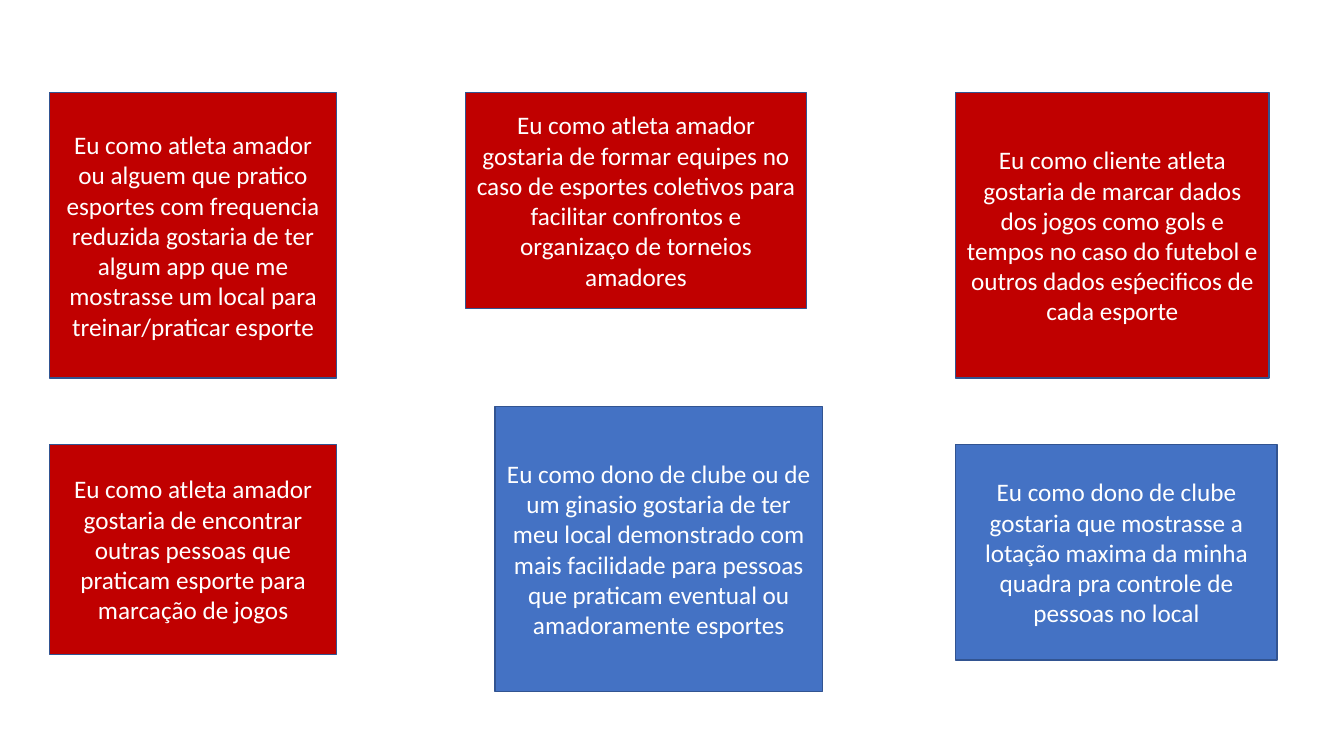
from pptx import Presentation
from pptx.dml.color import RGBColor
from pptx.enum.shapes import MSO_SHAPE
from pptx.enum.text import MSO_ANCHOR, PP_ALIGN
from pptx.util import Pt

RECTANGLE = MSO_SHAPE.RECTANGLE
MIDDLE = MSO_ANCHOR.MIDDLE
CENTER = PP_ALIGN.CENTER

SLIDE_SIZE = (960, 540)
BLANK_LAYOUT = 6
ROLE_FILLS = {"athlete": "C00000", "club owner": "4472C4"}
OUTLINE_COLOR = "325491"
TEXT_COLOR = "FFFFFF"
FONT_FORMAT = {"name": "Calibri", "size": Pt(18)}
FRAME_FORMAT = {"word_wrap": True, "vertical_anchor": MIDDLE}

LEFT_COLUMN, RIGHT_COLUMN = 35.3, 682.6
TOP_ROW, BOTTOM_ROW = 66.2, 317.5
TALL, SHORT = 203.8, 154.1

USER_STORIES = [
    ("athlete", (LEFT_COLUMN, TOP_ROW, 205.2, TALL),
     "Eu como atleta amador ou alguem que pratico esportes com frequencia reduzida "
     "gostaria de ter algum app que me mostrasse um local para treinar/praticar esporte"),
    ("club owner", (353.5, 290.2, 234, TALL),
     "Eu como dono de clube ou de um ginasio gostaria de ter meu local demonstrado com "
     "mais facilidade para pessoas que praticam eventual ou amadoramente esportes"),
    ("athlete", (RIGHT_COLUMN, TOP_ROW, 223.9, TALL),
     "Eu como cliente atleta gostaria de marcar dados dos jogos como gols e tempos no "
     "caso do futebol e outros dados es\u1e55ecificos de cada esporte"),
    ("athlete", (LEFT_COLUMN, BOTTOM_ROW, 205.2, 149.8),
     "Eu como atleta amador gostaria de encontrar outras pessoas que praticam esporte "
     "para marcação de jogos"),
    ("athlete", (332.6, TOP_ROW, 243.4, SHORT),
     "Eu como atleta amador gostaria de formar equipes no caso de esportes coletivos "
     "para facilitar confrontos e organizaço de torneios amadores"),
    ("club owner", (RIGHT_COLUMN, BOTTOM_ROW, 229.7, SHORT),
     "Eu como dono de clube gostaria que mostrasse a lotação maxima da minha quadra "
     "pra controle de pessoas no local"),
]


def set_color(color_format, color):
    """Apply a hex colour to a colour format."""
    color_format.rgb = RGBColor.from_string(color)


def apply_format(target, values):
    """Set every attribute in a dict of format values."""
    for name, value in values.items():
        setattr(target, name, value)


def add_story_card(slide, role, box, story):
    """Add one user story card coloured by its role."""
    shape = slide.shapes.add_shape(RECTANGLE, *map(Pt, box))
    shape.shadow.inherit = False
    shape.fill.solid()
    set_color(shape.fill.fore_color, ROLE_FILLS[role])
    set_color(shape.line.color, OUTLINE_COLOR)
    shape.line.width = Pt(1)
    apply_format(shape.text_frame, FRAME_FORMAT)
    paragraph = shape.text_frame.paragraphs[0]
    paragraph.alignment = CENTER
    run = paragraph.add_run()
    run.text = story
    apply_format(run.font, FONT_FORMAT)
    set_color(run.font.color, TEXT_COLOR)


def main():
    """Build the slide of user story cards."""
    presentation = Presentation()
    presentation.slide_width, presentation.slide_height = map(Pt, SLIDE_SIZE)
    slide = presentation.slides.add_slide(presentation.slide_layouts[BLANK_LAYOUT])
    for role, box, story in USER_STORIES:
        add_story_card(slide, role, box, story)
    presentation.save("out.pptx")


main()
